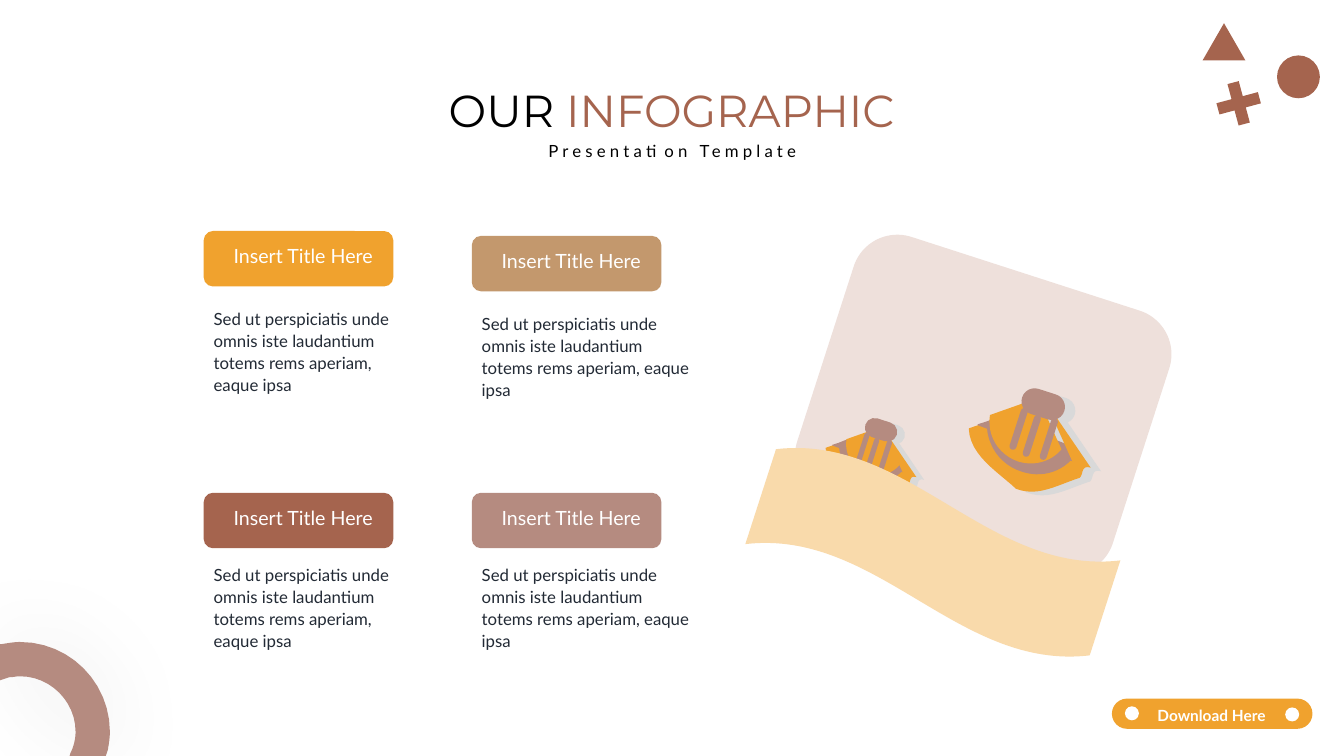
"""Build the infographic slide with four titled cards and a tilted pie illustration."""
from lxml.etree import SubElement
from pptx import Presentation
from pptx.dml.color import RGBColor
from pptx.enum.shapes import MSO_SHAPE as Preset
from pptx.enum.text import MSO_ANCHOR as Anchor, MSO_AUTO_SIZE as AutoSize, PP_ALIGN as Align
from pptx.oxml.ns import qn
from pptx.util import Pt

BLACK, WHITE, INK = "000000", "FFFFFF", "222A35"
AMBER, SIENNA, TAN, ROSE = "F0A22E", "A5644E", "C3986D", "B58B80"
BLUSH, CREAM, GREY = "EEE0DB", "F9DAAB", "D9D9D9"

TITLE = [("OUR ", BLACK), ("INFOGRAPHIC", SIENNA)]
SUBTITLE = "Presentation Template"
BUTTON = "Download Here"
HEADING = "Insert Title Here"
BODY = "Sed ut perspiciatis unde omnis iste laudantium totems rems aperiam, eaque ipsa"

# left, chip top, body top, body width, chip colour
CARDS = [
    (145.5, 165, 215.3, 154, AMBER),
    (145.5, 352, 398.2, 156, SIENNA),
    (337, 168.5, 218.9, 167, TAN),
    (337, 352, 398.2, 167, ROSE),
]
CHIP_SIZE = (135.4, 39.6)

# An outline is a list of steps: one point draws a line, three points draw a curve.
CRUST = [
    [(2.2, -6.5)], [(-15.8, -12.2), (-27.4, -28.8), (-27.4, -46.1)],
    [(-20.9, -48.2)], [(44.6, -20.9)], [(42.5, -14.4)],
    [(31.7, -5), (16.6, -1.4), (2.2, -6.5)],
]
BASE = [
    [(0, 0)], [(-13, -12.2), (-33.1, -23.8), (-33.8, -43.2)],
    [(-27.4, -45.4)], [(48.2, -16.6)], [(45.4, -7.9)],
    [(28.1, -2.2), (15.8, 5.8), (0, 0)],
]
FILLING = [
    [(4.3, -12.2)], [(-12.2, -17.3), (-21.6, -32.4), (-20.9, -48.2)],
    [(-13.7, -51.1)], [(42.5, -29.5)], [(39.6, -20.9)],
    [(31, -11.5), (17.3, -7.9), (4.3, -12.2)],
]
SLICE = [
    [(37.4, -27)], [(20.8, -63.7)], [(-13.7, -51.5)],
    [(-15.9, -37.1), (-8, -23.4), (6.4, -18.3)],
    [(18, -14.7), (30.2, -18.3), (37.4, -27)],
]
FOLD = [
    [(20.9, -62.6)], [(53.3, -15.1)],
    [(46.1, -17.3), (48.2, -10.1), (45.4, -7.9)],
]
RING = [
    [(14.4, 458.6)], [(49.7, 458.6), (78.5, 487.4), (78.5, 522.7)],
    [(78.5, 527), (77.8, 531.4), (77, 535.7)],
    [(75.6, 540)], [(49.7, 540)], [(50.4, 537.8)],
    [(52.6, 533.5), (54, 527.8), (54, 522.7)],
    [(54, 501.1), (36, 483.1), (14.4, 483.1)],
    [(11.5, 483.1), (9.4, 483.8), (6.5, 483.8)],
    [(0, 486)], [(0, 460.1)], [(1.4, 460.1)],
    [(5.8, 459.4), (10.1, 458.6), (14.4, 458.6)],
]
CAP = (19.4, -60.5, 31.7, 18.7)
TINES = [(1.8, -42.8, 5, 31), (11.2, -37.8, 5, 31), (23.4, -35.6, 5, 31)]
SHADE_SHIFT = (7.4, 2.6)
TILT = 17.9
# origin, scale, shift of the top slice
PIES = [((725.8, 349.2), 1, (-5, -1.2)), ((614.9, 352.1), 0.745, (0, 0))]


def paint(shape, color):
    shape.shadow.inherit = False
    shape.fill.solid()
    shape.fill.fore_color.rgb = RGBColor.from_string(color)
    shape.line.fill.background()
    return shape


def add_preset(shapes, preset, box, color, rotation=0, adjust=None):
    shape = paint(shapes.add_shape(preset, *map(Pt, box)), color)
    shape.rotation = rotation
    if adjust is not None:
        shape.adjustments[0] = adjust
    return shape


def flatten(outline, pieces=12):
    points = list(outline[0])
    for step in outline[1:]:
        if len(step) == 1:
            points += step
            continue
        corners = [points[-1], *step]
        for i in range(1, pieces + 1):
            t = i / pieces
            weights = ((1 - t) ** 3, 3 * t * (1 - t) ** 2, 3 * t * t * (1 - t), t ** 3)
            points.append(tuple(sum(w * c[axis] for w, c in zip(weights, corners))
                                for axis in (0, 1)))
    return points


def add_outline(shapes, outline, color, origin=(0, 0), scale=1, shift=(0, 0)):
    points = [tuple(Pt(o + scale * (p + s)) for o, p, s in zip(origin, point, shift))
              for point in flatten(outline)]
    builder = shapes.build_freeform(*points[0])
    builder.add_line_segments(points[1:], close=True)
    return paint(builder.convert_to_shape(), color)


def add_bar(shapes, bar, color, origin, scale, shift=(0, 0)):
    x, y, width, height = bar
    box = (origin[0] + scale * (x + shift[0] - width / 2),
           origin[1] + scale * (y + shift[1] - height / 2),
           scale * width, scale * height)
    add_preset(shapes, Preset.ROUNDED_RECTANGLE, box, color, TILT, 0.5)


def add_pie(shapes, origin, scale, slice_shift):
    add_bar(shapes, CAP, GREY, origin, scale, SHADE_SHIFT)
    for outline in (BASE, FILLING, SLICE, FOLD):
        add_outline(shapes, outline, GREY, origin, scale, SHADE_SHIFT)
    for outline, color in ((CRUST, ROSE), (BASE, AMBER), (FILLING, ROSE)):
        add_outline(shapes, outline, color, origin, scale)
    add_outline(shapes, SLICE, AMBER, origin, scale, slice_shift)
    add_outline(shapes, FOLD, AMBER, origin, scale)
    for bar in (CAP, *TINES):
        add_bar(shapes, bar, ROSE, origin, scale)


def write(holder, runs, font, size, align=Align.LEFT, spacing=None, bold=False, wrap=True):
    frame = holder.text_frame
    frame.auto_size, frame.word_wrap = AutoSize.NONE, wrap
    frame.vertical_anchor = Anchor.TOP
    paragraph = frame.paragraphs[0]
    paragraph.alignment, paragraph.line_spacing = align, spacing
    for words, color in runs:
        run = paragraph.add_run()
        run.text = words
        run.font.name, run.font.size, run.font.bold = font, Pt(size), bold
        run.font.color.rgb = RGBColor.from_string(color)
    return paragraph


def add_label(shapes, box, *args, **options):
    return write(shapes.add_textbox(*map(Pt, box)), *args, **options)


def main():
    deck = Presentation()
    deck.slide_width, deck.slide_height = Pt(960), Pt(540)
    slide = deck.slides.add_slide(deck.slide_layouts[5])
    shapes = slide.shapes

    title = shapes.title
    title.left, title.top, title.width, title.height = map(Pt, (272.2, 55.4, 415.4, 46))
    write(title, TITLE, "Montserrat", 32, Align.CENTER)
    subtitle = add_label(shapes, (362.2, 94.3, 236.2, 23), [(SUBTITLE, BLACK)], "Lato", 12,
                         Align.CENTER, 1.2)
    subtitle.runs[0].font._element.set("spc", "300")

    scene = shapes.add_group_shape().shapes
    add_preset(scene, Preset.ROUNDED_RECTANGLE, (583.9, 190.8, 236.9, 196.6), BLUSH, TILT)
    for pie in PIES:
        add_pie(scene, *pie)
    add_preset(scene, Preset.WAVE, (537.1, 347, 258.5, 95), CREAM, TILT)

    for left, top, body_top, body_width, color in CARDS:
        add_preset(shapes, Preset.ROUNDED_RECTANGLE, (left, top, *CHIP_SIZE), color)
        add_label(shapes, (left + 14.2, top + 5.8, 113.8, 24.5), [(HEADING, WHITE)],
                  "Lato", 14, wrap=False)
        add_label(shapes, (left, body_top, body_width, 70), [(BODY, INK)], "Lato", 12,
                  spacing=1.1)

    ornaments = shapes.add_group_shape().shapes
    add_preset(ornaments, Preset.OVAL, (912.2, 39.6, 30.6, 30.6), SIENNA)
    add_preset(ornaments, Preset.ISOSCELES_TRIANGLE, (859, 16.6, 30.6, 26.6), SIENNA)
    add_preset(ornaments, Preset.CROSS, (869.5, 58.5, 30.6, 30.6), SIENNA, 345, 0.364)

    ring = add_outline(shapes, RING, ROSE)
    effects = ring._element.spPr.find(qn("a:effectLst"))
    glow = SubElement(effects, qn("a:outerShdw"), blurRad=str(Pt(65)), dist="0", dir="0")
    tint = SubElement(glow, qn("a:srgbClr"), val=BLACK)
    SubElement(tint, qn("a:alpha"), val="7000")

    button = shapes.add_group_shape().shapes
    add_preset(button, Preset.ROUNDED_RECTANGLE, (794.2, 499, 143.3, 21.6), AMBER, adjust=0.5)
    for dot_left, dot_top in ((803.5, 504.5), (918, 505.3)):
        add_preset(button, Preset.OVAL, (dot_left, dot_top, 10, 10), WHITE)
    add_label(button, (813.6, 498.2, 103.7, 21.6), [(BUTTON, WHITE)], "Lato", 11,
              Align.CENTER, 1.2, bold=True)

    deck.save("out.pptx")


if __name__ == "__main__":
    main()
